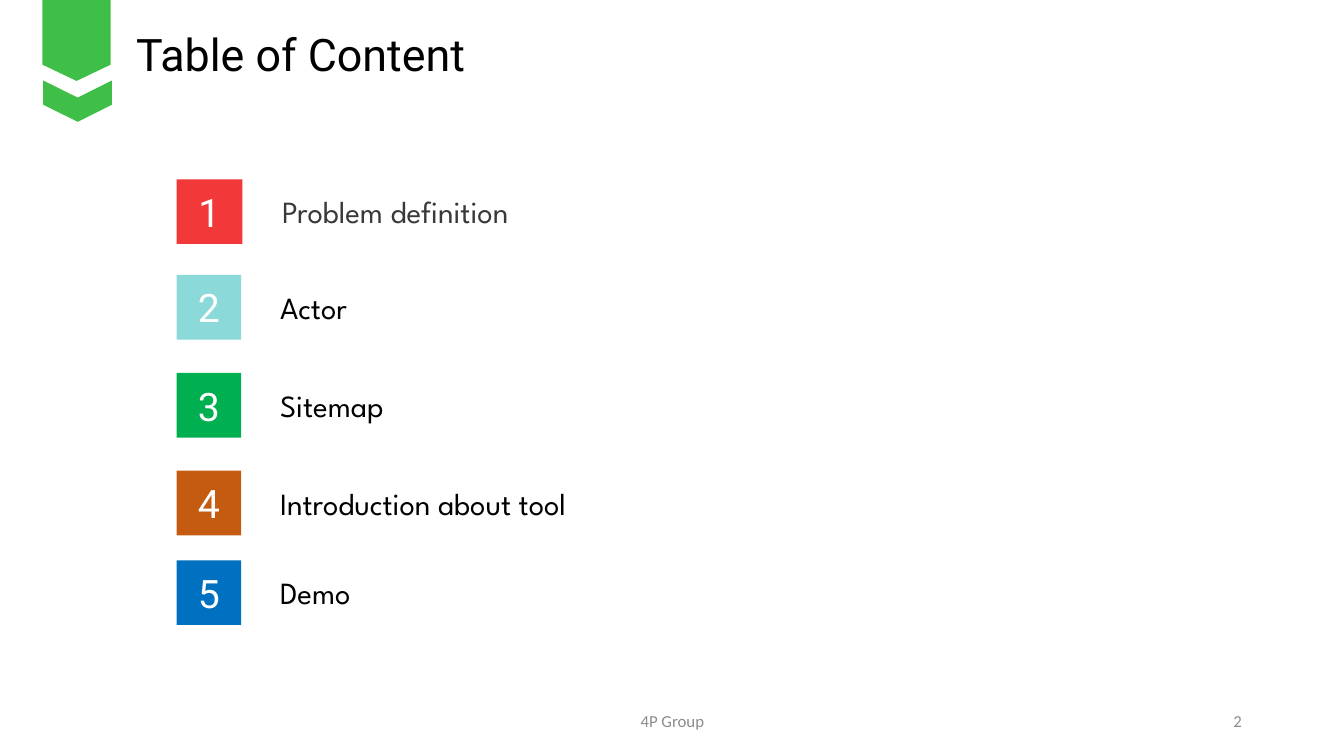
"""Build a table of contents slide with numbered, coloured entries."""
from dataclasses import dataclass

from pptx import Presentation
from pptx.dml.color import RGBColor
from pptx.enum.shapes import MSO_SHAPE
from pptx.enum.text import MSO_ANCHOR, MSO_AUTO_SIZE, PP_ALIGN
from pptx.shapes.autoshape import Shape
from pptx.shapes.shapetree import GroupShapes, SlideShapes
from pptx.util import Cm

from pptx.util import Pt

RECTANGLE = MSO_SHAPE.RECTANGLE
TOP, MIDDLE = MSO_ANCHOR.TOP, MSO_ANCHOR.MIDDLE
FIT_SHAPE, NO_FIT = MSO_AUTO_SIZE.SHAPE_TO_FIT_TEXT, MSO_AUTO_SIZE.NONE
LEFT, CENTER, RIGHT = PP_ALIGN.LEFT, PP_ALIGN.CENTER, PP_ALIGN.RIGHT


@dataclass(frozen=True)
class TextStyle:
    """Font, size in points and colour of a text."""
    font: str
    size: float
    color: str


@dataclass(frozen=True)
class Theme:
    """Colours and type styles of the slide."""
    ribbon: str = "3FBF48"
    title: TextStyle = TextStyle("Roboto", 32, "000000")
    number: TextStyle = TextStyle("Roboto", 28, "FFFFFF")
    label: TextStyle = TextStyle("League Spartan", 22, "000000")
    first_label: TextStyle = TextStyle("League Spartan", 22, "3B3838")
    footer: TextStyle = TextStyle("Calibri", 12, "8C8C8C")


THEME = Theme()


@dataclass(frozen=True)
class Box:
    """Left, top, width and height in centimetres."""
    left: float
    top: float
    width: float
    height: float

    def lengths(self) -> tuple[Cm, Cm, Cm, Cm]:
        """Return the four measures as lengths."""
        return Cm(self.left), Cm(self.top), Cm(self.width), Cm(self.height)


@dataclass(frozen=True)
class Entry:
    """One line of the table of contents."""
    topic: str
    color: str
    top: float
    style: TextStyle = THEME.label
    tile_width: float = 1.63
    label_left: float = 6.81
    label_width: float = 13.34


ENTRIES = (
    Entry("Problem definition", "F23838", 4.52, THEME.first_label, 1.66, 6.86, 22.5),
    Entry("Actor", "8BD9D9", 6.93),
    Entry("Sitemap", "00B050", 9.4),
    Entry("Introduction about tool", "C55A11", 11.86),
    Entry("Demo", "0070C0", 14.12),
)
TILE_LEFT, TILE_HEIGHT = 4.45, 1.63
LABEL_OFFSET, LABEL_HEIGHT = 0.22, 1.2
RIBBON_BODY = ((1.07, 0), (2.79, 0), (2.79, 1.63), (1.93, 2.04), (1.07, 1.63))
RIBBON_TAIL = ((1.09, 2.03), (1.96, 2.46), (2.82, 2.03),
               (2.82, 2.64), (1.96, 3.07), (1.09, 2.64))


def paint(shape: Shape, color: str) -> None:
    """Give a shape a flat fill without line or shadow."""
    shape.shadow.inherit = False
    shape.fill.solid()
    shape.fill.fore_color.rgb = RGBColor.from_string(color)
    shape.line.fill.background()


def write(shape: Shape, text: str, style: TextStyle, align: PP_ALIGN,
          anchor: MSO_ANCHOR) -> None:
    """Set and format the single paragraph of a shape."""
    frame = shape.text_frame
    frame.text = text
    frame.word_wrap = True
    frame.vertical_anchor = anchor
    paragraph = frame.paragraphs[0]
    paragraph.alignment = align
    font = paragraph.runs[0].font
    font.name, font.size = style.font, Pt(style.size)
    font.color.rgb = RGBColor.from_string(style.color)


def add_text(shapes: SlideShapes | GroupShapes, box: Box, text: str, style: TextStyle,
             align: PP_ALIGN = LEFT, anchor: MSO_ANCHOR = TOP) -> None:
    """Add a text box; top-anchored ones grow with their text."""
    text_box = shapes.add_textbox(*box.lengths())
    write(text_box, text, style, align, anchor)
    text_box.text_frame.auto_size = FIT_SHAPE if anchor == TOP else NO_FIT


def add_ribbon_part(shapes: GroupShapes, points: tuple[tuple[float, float], ...]) -> None:
    """Add one closed outline of the ribbon."""
    start, *others = [(Cm(x), Cm(y)) for x, y in points]
    builder = shapes.build_freeform(*start)
    builder.add_line_segments(others, close=True)
    paint(builder.convert_to_shape(), THEME.ribbon)


def add_entry(shapes: GroupShapes, number: int, entry: Entry) -> None:
    """Add the numbered tile and the topic of an entry."""
    tile_box = Box(TILE_LEFT, entry.top, entry.tile_width, TILE_HEIGHT)
    tile = shapes.add_shape(RECTANGLE, *tile_box.lengths())
    paint(tile, entry.color)
    write(tile, str(number), THEME.number, CENTER, MIDDLE)
    label_box = Box(entry.label_left, entry.top + LABEL_OFFSET,
                    entry.label_width, LABEL_HEIGHT)
    add_text(shapes, label_box, entry.topic, entry.style)


def main() -> None:
    """Build and save the slide."""
    presentation = Presentation()
    presentation.slide_width, presentation.slide_height = Cm(33.87), Cm(19.05)
    shapes = presentation.slides.add_slide(presentation.slide_layouts[6]).shapes
    ribbon = shapes.add_group_shape()
    for outline in (RIBBON_BODY, RIBBON_TAIL):
        add_ribbon_part(ribbon.shapes, outline)
    add_text(shapes, Box(3.18, 0.56, 10, 1.63), "Table of Content", THEME.title)
    for number, entry in enumerate(ENTRIES, start=1):
        add_entry(shapes.add_group_shape().shapes, number, entry)
    add_text(shapes, Box(11.23, 17.65, 11.43, 1.02), "4P Group", THEME.footer, CENTER, MIDDLE)
    add_text(shapes, Box(23.93, 17.65, 7.62, 1.02), "2", THEME.footer, RIGHT, MIDDLE)
    presentation.save("out.pptx")


if __name__ == "__main__":
    main()
